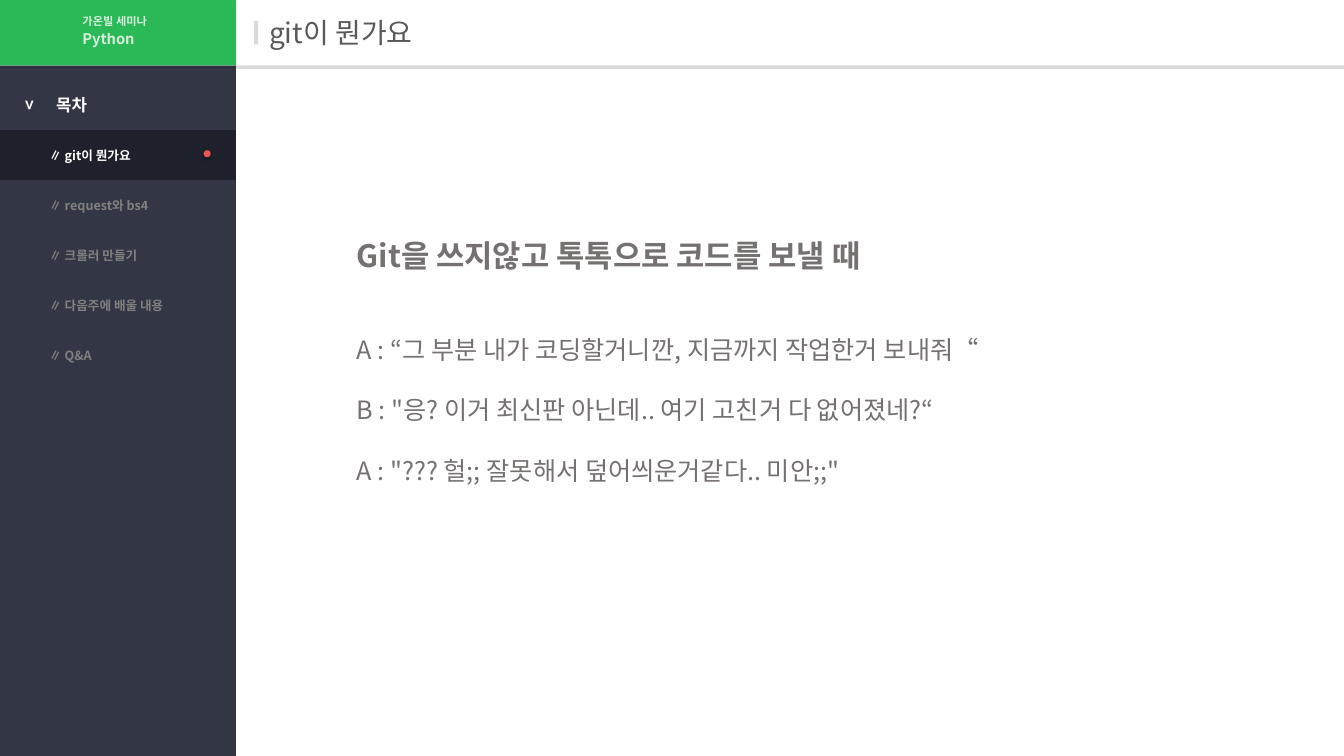
from pptx import Presentation
from pptx.dml.color import RGBColor as Rgb
from pptx.enum.shapes import MSO_SHAPE as Preset
from pptx.enum.text import MSO_ANCHOR as Anchor, MSO_AUTO_SIZE as Fit, PP_ALIGN as Align
from pptx.oxml import parse_xml
from pptx.oxml.ns import nsdecls, qn
from pptx.util import Inches, Pt

COLORS = {
    "white": "FFFFFF", "navy": "333645", "green": "2BB957", "rule": "D9D9D9",
    "title": "595959", "current": "1E202C", "muted": "808080", "dot": "EC5353",
    "body": "767171", "shadow": "000000",
}


class SeminarSlide:
    """Holds the seminar style and the slide being built."""

    font_name = "Noto Sans CJK KR"

    def __init__(self, deck):
        self.slide = deck.slides.add_slide(deck.slide_layouts[6])

    def color(self, name):
        return Rgb.from_string(COLORS[name])

    def block(self, box, fill, preset=Preset.RECTANGLE, shadow=None):
        block = self.slide.shapes.add_shape(preset, *map(Inches, box))
        block.shadow.inherit = False
        block.fill.solid()
        block.fill.fore_color.rgb = self.color(fill)
        block.line.fill.background()
        if shadow:
            self.drop_shadow(block, *shadow)
        return block

    def drop_shadow(self, block, alpha, blur, distance):
        effects = block._element.spPr.find(qn("a:effectLst"))
        effects.append(parse_xml(
            f'<a:outerShdw {nsdecls("a")} blurRad="{Pt(blur)}" dist="{Pt(distance)}" '
            f'dir="5400000" algn="t" rotWithShape="0"><a:srgbClr val="{COLORS["shadow"]}">'
            f'<a:alpha val="{alpha * 1000}"/></a:srgbClr></a:outerShdw>'))

    def fill_line(self, paragraph, words, size, color, bold=False, indent=0, alpha=None, **spacing):
        run = paragraph.add_run()
        run.text = words
        font_format = {"name": self.font_name, "size": Pt(size), "bold": bold}
        for key, value in font_format.items():
            setattr(run.font, key, value)
        run.font.color.rgb = self.color(color)
        properties = run.font._element
        if alpha:
            properties.find(".//" + qn("a:srgbClr")).append(
                parse_xml(f'<a:alpha {nsdecls("a")} val="{alpha * 1000}"/>'))
        properties.find(qn("a:latin")).addnext(
            parse_xml(f'<a:ea {nsdecls("a")} typeface="{self.font_name}"/>'))
        for key, value in {"alignment": Align.LEFT, **spacing}.items():
            setattr(paragraph, key, value)
        if indent:
            paragraph._p.get_or_add_pPr().set("marL", str(Inches(indent)))

    def label(self, box, lines, rotation=0, **frame_format):
        label = self.slide.shapes.add_textbox(*map(Inches, box))
        label.rotation = rotation
        frame = label.text_frame
        frame_format = {"word_wrap": True, "auto_size": Fit.NONE, **frame_format}
        for key, value in frame_format.items():
            setattr(frame, key, value)
        for number, line in enumerate(lines):
            paragraph = frame.add_paragraph() if number else frame.paragraphs[0]
            self.fill_line(paragraph, **line)

    def menu_item(self, box, words, current):
        item = self.block(box, "current" if current else "navy")
        item.text_frame.vertical_anchor = Anchor.MIDDLE
        self.fill_line(item.text_frame.paragraphs[0], f"∥ {words}", 9,
                       "white" if current else "muted", bold=True, indent=0.39)


def main():
    deck = Presentation()
    deck.slide_width, deck.slide_height = Inches(13.33), Inches(7.5)
    page = SeminarSlide(deck)
    sidebar_width, header_height = 2.34, 0.65
    header_shadow = (15, 1, 1)

    page.block((sidebar_width, 0, 10.99, header_height), "white", shadow=header_shadow)
    page.block((0, header_height, sidebar_width, 6.85), "navy")
    page.block((0, 0, sidebar_width, header_height), "green", shadow=header_shadow)
    page.block((2.52, 0.21, 0.04, 0.23), "rule", Preset.ROUNDED_RECTANGLE)
    page.label((2.49, 0.13, 10.63, 0.38),
               [dict(words="git이 뭔가요", size=20, color="title", indent=0.08)],
               vertical_anchor=Anchor.MIDDLE)

    course_style = dict(color="white", bold=True, alpha=80, line_spacing=0.9)
    page.label((0.72, 0.27, 1.46, 0.27), [dict(words="Python", size=10.5, **course_style)])
    page.label((0.72, 0.11, 1.46, 0.23), [dict(words="가온빌 세미나", size=8, **course_style)])

    heading_style = dict(size=12, color="white", bold=True)
    page.label((0.46, 0.89, 0.54, 0.3), [dict(words="목차", **heading_style)], word_wrap=False)
    page.label((0.16, 0.89, 0.28, 0.3), [dict(words=">", **heading_style)], 90, word_wrap=False)

    topics = ["git이 뭔가요", "request와 bs4", "크롤러 만들기", "다음주에 배울 내용", "Q&A"]
    menu_top, menu_height = 1.29, 2.48
    row_height = menu_height / len(topics)
    for row, topic in enumerate(topics):
        page.menu_item((0, menu_top + row * row_height, sidebar_width, row_height),
                       topic, current=row == 0)
    page.block((2.02, 1.49, 0.07, 0.07), "dot", Preset.OVAL, shadow=(20, 2, 2))

    dialogue = [
        "A : “그 부분 내가 코딩할거니깐, 지금까지 작업한거 보내줘“",
        'B : "응? 이거 최신판 아닌데.. 여기 고친거 다 없어졌네?“',
        'A : "??? 헐;; 잘못해서 덮어씌운거같다.. 미안;;"',
    ]
    line_gap = 21.6
    story = [dict(words="Git을 쓰지않고 톡톡으로 코드를 보낼 때", size=22, color="body", bold=True)]
    for number, speech in enumerate(dialogue):
        gap = line_gap if number else 2 * line_gap
        story.append(dict(words=speech, size=18, color="body", space_before=Pt(gap)))
    page.label((3.44, 2.3, 8.74, 2.89), story)
    deck.save("out.pptx")


if __name__ == "__main__":
    main()
